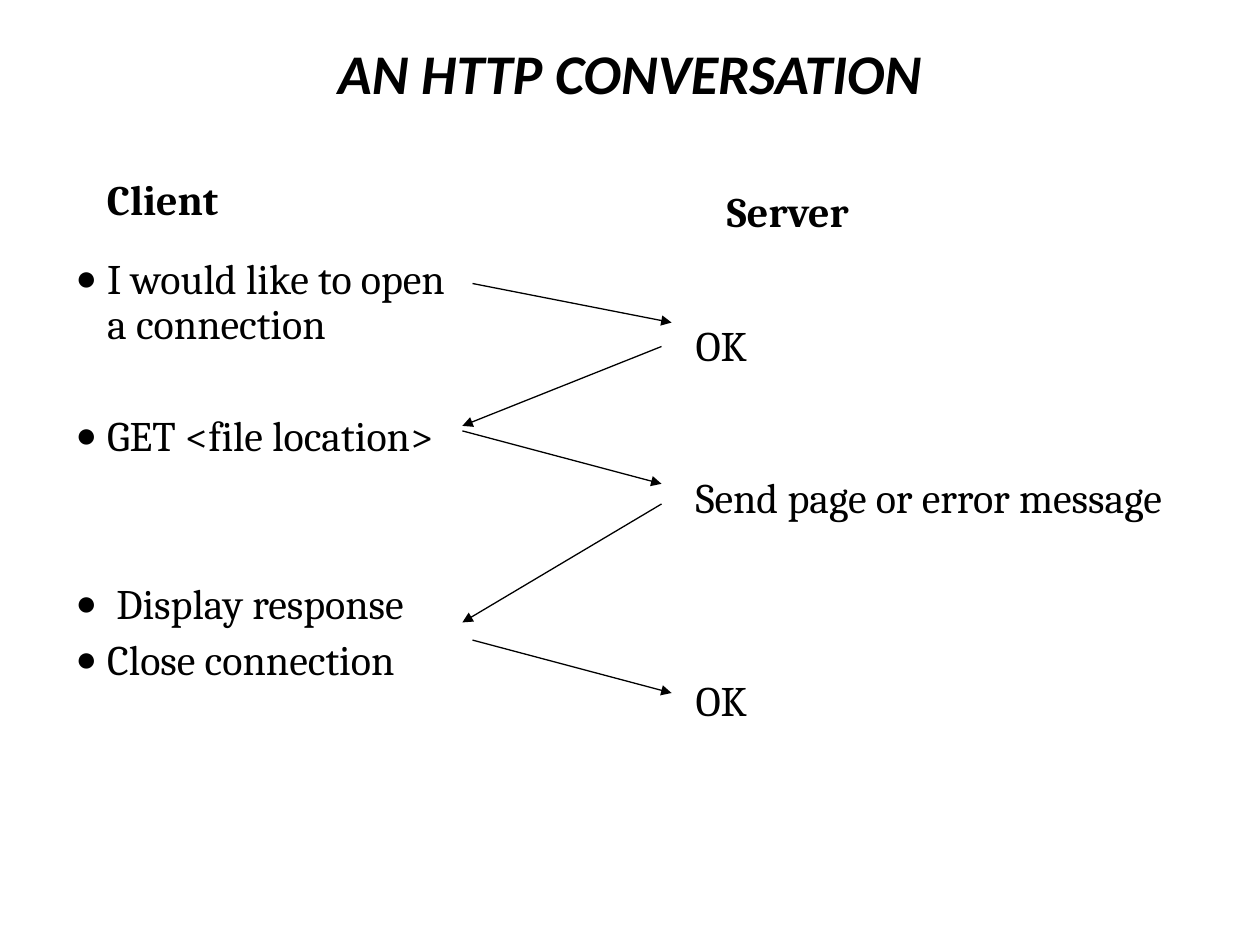
from lxml import etree
from pptx import Presentation
from pptx.dml.color import RGBColor
from pptx.enum import shapes, text
from pptx.oxml.ns import qn
from pptx.util import Inches, Pt

BLACK = RGBColor(0, 0, 0)
TITLE = "AN HTTP CONVERSATION"
HEADINGS = [("Client", (0.75, 1.33, 1.58, 0.5)), ("Server", (5.67, 1.42, 1.42, 0.5))]

# (text, number of blank lines before it)
CLIENT = [
    ("I would like to open a connection", 0),
    ("GET <file location>", 1),
    (" Display response", 2),
    ("Close connection", 0),
]
SERVER = [("OK", 0), ("Send page or error message", 2), ("OK", 3)]
MESSAGES = [
    ((3.75, 2.25), (5.33, 2.56)),
    ((5.25, 2.75), (3.67, 3.38)),
    ((3.67, 3.42), (5.25, 3.84)),
    ((5.25, 4), (3.67, 4.94)),
    ((3.75, 5.08), (5.33, 5.5)),
]


def place(shape, box):
    shape.left, shape.top, shape.width, shape.height = map(Inches, box)


def style(font, name, size, bold=False, italic=False):
    font.name, font.size = name, Pt(size)
    font.bold, font.italic = bold, italic
    font.color.rgb = BLACK


def fill_column(column, box, lines, spacing, pitch, bullet=None, top=0.05):
    place(column, box)
    frame = column.text_frame
    frame.auto_size = text.MSO_AUTO_SIZE.NONE
    frame.margin_top = Inches(top)
    frame.text = "\n".join(line for line, _ in lines)
    for paragraph, (_, gaps) in zip(frame.paragraphs, lines):
        paragraph.line_spacing = spacing
        paragraph.space_before = Pt(6 + gaps * pitch)
        paragraph.space_after = Pt(0)
        style(paragraph.font, "Cambria", 24)
        props = paragraph._p.get_or_add_pPr()
        props.set("marL", str(Inches(0.25)))
        props.set("indent", str(Inches(-0.25)))
        marks = [("a:buSzPct", "val", "85000"), ("a:buChar", "char", bullet)] if bullet else [("a:buNone", None, None)]
        defaults = props.find(qn("a:defRPr"))
        for tag, key, value in marks:
            mark = etree.Element(qn(tag))
            if key:
                mark.set(key, value)
            defaults.addprevious(mark)


def add_heading(slide, label, box):
    heading = slide.shapes.add_textbox(*map(Inches, box))
    heading.text_frame.word_wrap = True
    heading.text_frame.text = label
    style(heading.text_frame.paragraphs[0].font, "Cambria", 24, bold=True)


def add_message(slide, start, end):
    arrow = slide.shapes.add_connector(shapes.MSO_CONNECTOR.STRAIGHT, *map(Inches, start + end))
    arrow.line.color.rgb = BLACK
    arrow.line.width = Pt(0.75)
    etree.SubElement(arrow.line._get_or_add_ln(), qn("a:tailEnd"), type="triangle")
    etree.SubElement(arrow._element.spPr, qn("a:effectLst"))


def main():
    deck = Presentation()
    deck.slide_width, deck.slide_height = Inches(10), Inches(7.5)
    slide = deck.slides.add_slide(deck.slide_layouts[3])
    title, client, server = slide.placeholders

    place(title, (0.5, 0, 9, 1.15))
    title.text_frame.text = TITLE
    title.text_frame.vertical_anchor = text.MSO_ANCHOR.MIDDLE
    title.text_frame.paragraphs[0].alignment = text.PP_ALIGN.CENTER
    style(title.text_frame.paragraphs[0].font, "Calibri", 32, bold=True, italic=True)

    fill_column(client, (0.5, 2, 3.25, 4.33), CLIENT, 0.9, 32, bullet="●")
    fill_column(server, (5.42, 1.75, 4.42, 5.34), SERVER, 0.8, 29, top=0.86)
    for label, box in HEADINGS:
        add_heading(slide, label, box)
    for start, end in MESSAGES:
        add_message(slide, start, end)
    deck.save("out.pptx")


if __name__ == "__main__":
    main()
